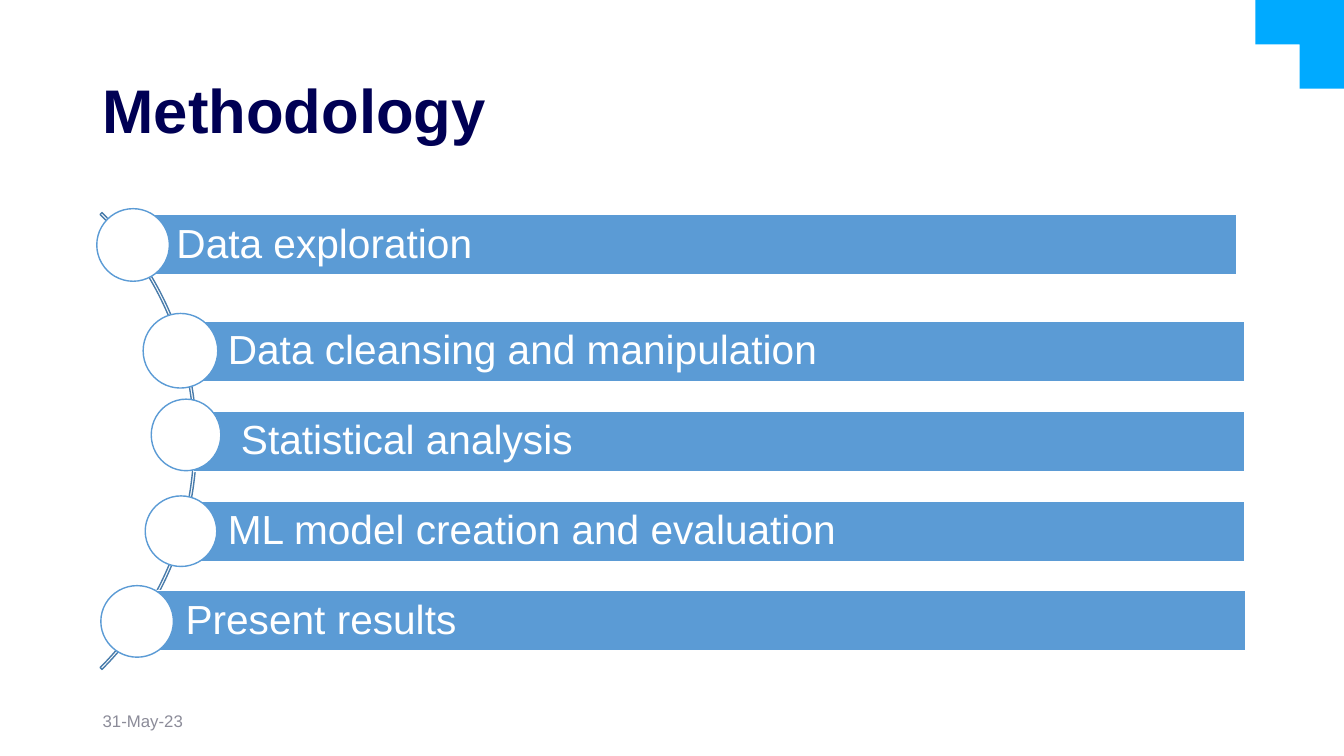
import pptx
import pptx.dml.color
import pptx.enum.shapes
import pptx.enum.text
import pptx.util
from dataclasses import dataclass

PX = 9144  # EMU per px, 100 px to the inch
SHAPE = pptx.enum.shapes.MSO_SHAPE


@dataclass(frozen=True)
class Theme:
    font: str = "Arial"
    title: str = "000054"
    accent: str = "00AAFF"
    bar: str = "5B9BD5"
    arc: str = "497CAB"
    white: str = "FFFFFF"
    muted: str = "8C8C99"
    title_size: int = 44
    step_size: int = 29
    date_size: int = 12


theme = Theme()
rgb = pptx.dml.color.RGBColor.from_string

prs = pptx.Presentation()
prs.slide_width, prs.slide_height = 1333 * PX, 750 * PX
s = prs.slides.add_slide(prs.slide_layouts[6])


def paint(sp, fill=None, line=None):
    sp.shadow.inherit = False
    if fill:
        sp.fill.solid()
        sp.fill.fore_color.rgb = rgb(fill)
    else:
        sp.fill.background()
    if line:
        sp.line.color.rgb = rgb(line)
        sp.line.width = pptx.util.Pt(1)
    else:
        sp.line.fill.background()


def set_text(sp, text, size, color, insets=(10, 5, 10, 5), bold=False, spacing=0.9):
    """Write one left-aligned, vertically centred line; insets run left, top, right, bottom."""
    tf = sp.text_frame
    tf.word_wrap = True
    tf.vertical_anchor = pptx.enum.text.MSO_ANCHOR.MIDDLE
    tf.margin_left, tf.margin_top, tf.margin_right, tf.margin_bottom = (v * PX for v in insets)
    p = tf.paragraphs[0]
    p.alignment = pptx.enum.text.PP_ALIGN.LEFT
    p.line_spacing = spacing
    r = p.add_run()
    r.text = text
    r.font.name = theme.font
    r.font.size = pptx.util.Pt(size)
    r.font.bold = bold
    r.font.color.rgb = rgb(color)


outline = s.shapes.build_freeform(1245, 0, scale=PX)
outline.add_line_segments([(1333, 0), (1333, 88), (1289, 88), (1289, 44), (1245, 44)])
corner = outline.convert_to_shape()
paint(corner, theme.accent)

title = s.shapes.add_textbox(*(v * PX for v in (92, 40, 1150, 145)))
set_text(title, "Methodology", theme.title_size, theme.title, bold=True)

arc = s.shapes.add_shape(SHAPE.BLOCK_ARC, *(v * PX for v in (-446, 117, 641, 641)))
paint(arc, line=theme.arc)
for i, value in enumerate((189, 27, 0.004)):
    arc.adjustments[i] = value

# step, bar (left, top, width), circle (left, top, width, height)
steps = [
    ("Data exploration", (128, 213, 1099), (96, 207, 72, 72)),
    ("Data cleansing and manipulation", (179, 319, 1056), (142, 311, 74, 74)),
    ("Statistical analysis", (192, 408, 1043), (150, 396, 69, 71)),
    ("ML model creation and evaluation", (179, 497, 1056), (144, 492, 71, 70)),
    ("Present results", (137, 586, 1099), (100, 581, 72, 71)),
]
for text, bar_box, circle_box in steps:
    bar = s.shapes.add_shape(SHAPE.RECTANGLE, *(v * PX for v in (*bar_box, 60)))
    paint(bar, theme.bar, theme.white)
    set_text(bar, text, theme.step_size, theme.white, insets=(47, 8, 8, 8))
    circle = s.shapes.add_shape(SHAPE.OVAL, *(v * PX for v in circle_box))
    paint(circle, theme.white, theme.bar)

date = s.shapes.add_textbox(*(v * PX for v in (92, 695, 300, 40)))
set_text(date, "31-May-23", theme.date_size, theme.muted, spacing=1.0)

prs.save("out.pptx")
